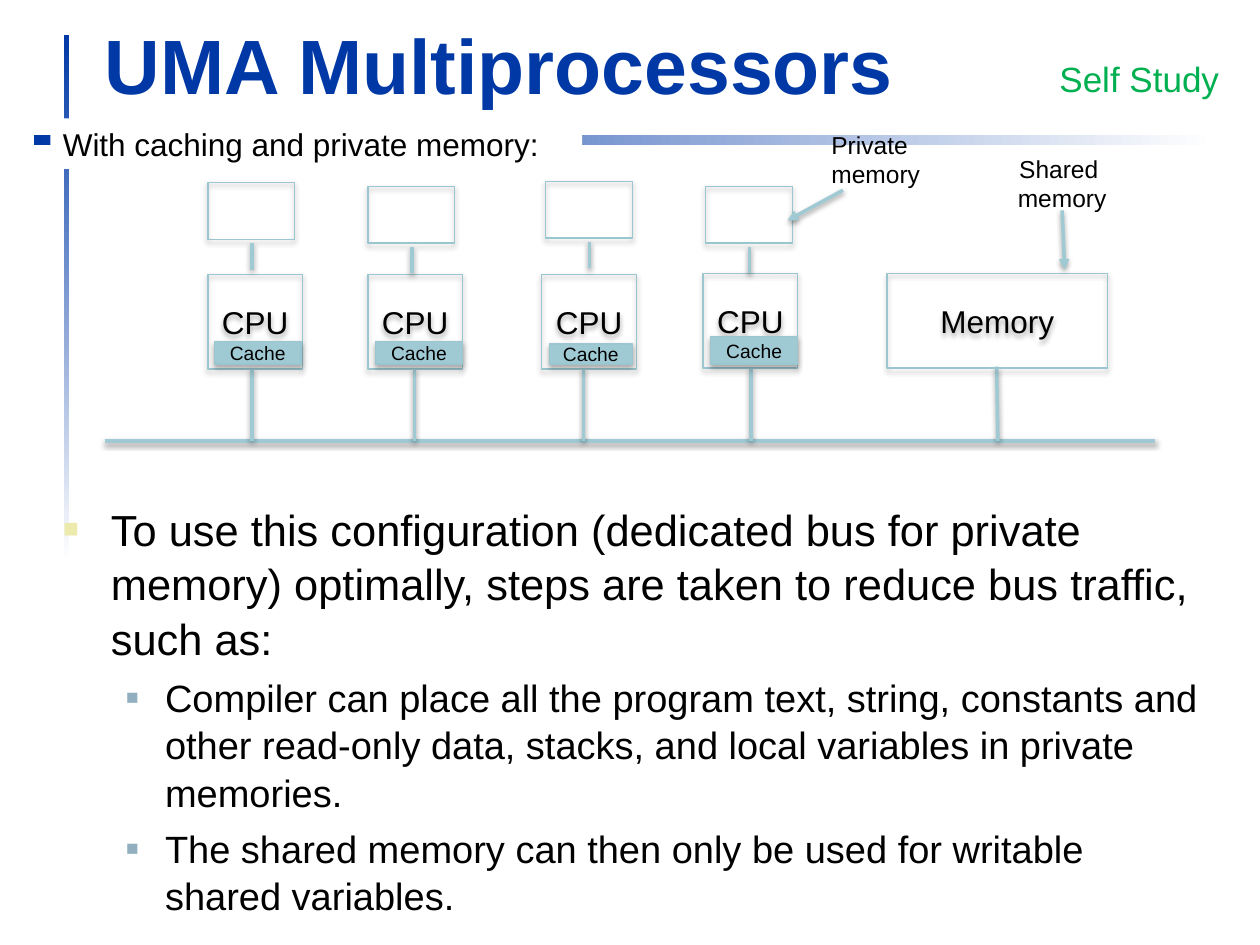
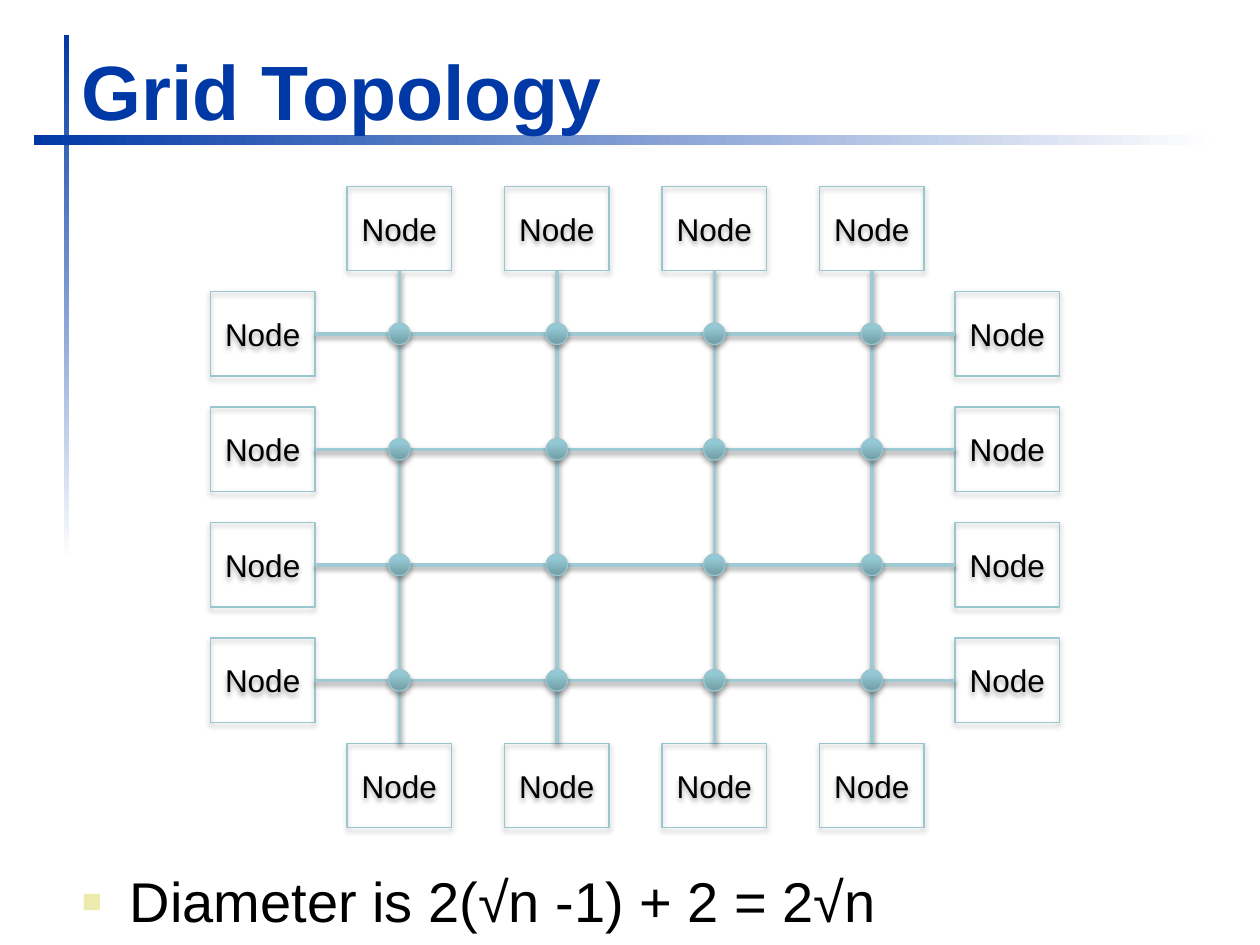
from dataclasses import dataclass

from lxml import etree
from pptx import Presentation
from pptx import util as u
from pptx.dml import color as dml
from pptx.enum import shapes, text
from pptx.oxml import parse_xml
from pptx.oxml.ns import nsdecls, qn

COLORS = {
    "title": "0039A6",
    "text": "000000",
    "paper": "FFFFFF",
    "note": "00B050",
    "wire": "9FCAD3",
    "edge": "9AC6D0",
    "bullet": "ECEAAC",
    "sub_bullet": "91AFBF",
}
FONT = "Arial"
BAND_STOPS = [(0, COLORS["title"]), (100, COLORS["paper"])]
DOT_STOPS = [(0, "719BA3"), (80, "93C9D4"), (100, "92CAD6")]


@dataclass(frozen=True)
class Area:
    left: float
    top: float
    width: float
    height: float

    def lengths(self) -> list:
        return [u.Inches(v) for v in (self.left, self.top, self.width, self.height)]


@dataclass(frozen=True)
class BulletLevel:
    margin: float
    hang: float
    color: str
    percent: int


@dataclass(frozen=True)
class Processor:
    cpu: Area
    private: Area
    cache: Area
    bus_x: float


@dataclass(frozen=True)
class Item:
    words: str
    size: float
    level: int = 0


BULLETS = [
    BulletLevel(0.38, 0.38, COLORS["bullet"], 60),
    BulletLevel(0.81, 0.31, COLORS["sub_bullet"], 55),
]
PROCESSORS = [
    Processor(Area(1.65, 2.18, 0.75, 0.75), Area(1.65, 1.45, 0.69, 0.45),
              Area(1.7, 2.71, 0.69, 0.18), 2),
    Processor(Area(2.92, 2.18, 0.75, 0.75), Area(2.92, 1.48, 0.69, 0.45),
              Area(2.98, 2.71, 0.69, 0.18), 3.29),
    Processor(Area(4.3, 2.18, 0.75, 0.75), Area(4.33, 1.44, 0.69, 0.45),
              Area(4.36, 2.73, 0.66, 0.16), 4.63),
    Processor(Area(5.58, 2.17, 0.75, 0.75), Area(5.6, 1.48, 0.69, 0.45),
              Area(5.64, 2.67, 0.69, 0.22), 5.96),
]


def write_text(frame, *lines: str, size: float, color: str = COLORS["text"],
               bold: bool = False, align=text.PP_ALIGN.LEFT, anchor=text.MSO_ANCHOR.TOP) -> None:
    frame.word_wrap = True
    frame.auto_size = text.MSO_AUTO_SIZE.NONE
    frame.vertical_anchor = anchor
    for index, line in enumerate(lines):
        para = frame.paragraphs[0] if index == 0 else frame.add_paragraph()
        para.alignment = align
        span = para.add_run()
        span.text = line
        span.font.name = FONT
        span.font.size = u.Pt(size)
        span.font.bold = bold
        span.font.color.rgb = dml.RGBColor.from_string(color)


def fill_gradient(shape, stops: list[tuple[int, str]], angle: int) -> None:
    shape.fill.background()
    marks = "".join(
        f'<a:gs pos="{pos * 1000}"><a:srgbClr val="{color}"/></a:gs>' for pos, color in stops)
    gradient = parse_xml(f'<a:gradFill {nsdecls("a")}><a:gsLst>{marks}</a:gsLst>'
                         f'<a:lin ang="{angle * 60000}" scaled="0"/></a:gradFill>')
    properties = shape.element.spPr
    properties.replace(properties.find(qn("a:noFill")), gradient)


def add_shadow(shape, opacity: int, distance: float) -> None:
    shape.element.spPr.append(parse_xml(
        f'<a:effectLst {nsdecls("a")}><a:outerShdw blurRad="{u.Pt(3.1)}" dist="{u.Pt(distance)}"'
        f' dir="5400000" rotWithShape="0"><a:srgbClr val="000000">'
        f'<a:alpha val="{opacity * 1000}"/></a:srgbClr></a:outerShdw></a:effectLst>'))


def set_fill(shape, color: str | None) -> None:
    if color is None:
        shape.fill.background()
    else:
        shape.fill.solid()
        shape.fill.fore_color.rgb = dml.RGBColor.from_string(color)


def add_box(page, area: Area, label: str = "", size: float = 18, fill: str | None = None,
            kind=shapes.MSO_SHAPE.RECTANGLE):
    box = page.shapes.add_shape(kind, *area.lengths())
    set_fill(box, fill)
    box.line.color.rgb = dml.RGBColor.from_string(COLORS["edge"])
    box.line.width = u.Pt(0.75)
    add_shadow(box, 35, 1.8)
    if label:
        write_text(box.text_frame, label, size=size, align=text.PP_ALIGN.CENTER,
                   anchor=text.MSO_ANCHOR.MIDDLE)
    return box


def add_wire(page, x1: float, y1: float, x2: float, y2: float, arrow: bool = False) -> None:
    wire = page.shapes.add_connector(
        shapes.MSO_CONNECTOR.STRAIGHT, *[u.Inches(v) for v in (x1, y1, x2, y2)])
    wire.line.color.rgb = dml.RGBColor.from_string(COLORS["wire"])
    wire.line.width = u.Pt(2)
    if arrow:
        etree.SubElement(wire.line._get_or_add_ln(), qn("a:tailEnd"), type="triangle")
    add_shadow(wire, 38, 1.6)


def add_note(page, area: Area, *lines: str, **style) -> None:
    note = page.shapes.add_textbox(*area.lengths())
    write_text(note.text_frame, *lines, **style)


def add_bullet(para, level: BulletLevel) -> None:
    properties = para._p.get_or_add_pPr()
    properties.set("marL", str(u.Inches(level.margin)))
    properties.set("indent", str(-u.Inches(level.hang)))
    color = etree.SubElement(properties, qn("a:buClr"))
    etree.SubElement(color, qn("a:srgbClr"), val=level.color)
    etree.SubElement(properties, qn("a:buSzPct"), val=str(level.percent * 1000))
    etree.SubElement(properties, qn("a:buFont"), typeface=FONT)
    etree.SubElement(properties, qn("a:buChar"), char="■")


def place(shape, area: Area) -> None:
    shape.left, shape.top, shape.width, shape.height = area.lengths()


def add_page(deck, title: str, title_area: Area, items: list[Item], body_area: Area,
             spacing: float = 1.0):
    page = deck.slides.add_slide(deck.slide_layouts[1])
    heading, body = page.shapes.title, page.placeholders[1]
    place(heading, title_area)
    write_text(heading.text_frame, title, size=44, color=COLORS["title"], bold=True,
               anchor=text.MSO_ANCHOR.BOTTOM)
    place(body, body_area)
    write_text(body.text_frame, *[item.words for item in items], size=items[0].size)
    for para, item in zip(body.text_frame.paragraphs, items):
        para.level = item.level
        para.line_spacing = spacing
        para.runs[0].font.size = u.Pt(item.size)
        add_bullet(para, BULLETS[item.level])
    return page


def add_master_bands(deck, page) -> None:
    bands = [(Area(0.51, 0.28, 0.04, 4.17), 90), (Area(0.27, 1.07, 9.37, 0.08), 0)]
    for position, (area, angle) in enumerate(bands, start=2):
        band = page.shapes.add_shape(shapes.MSO_SHAPE.RECTANGLE, *area.lengths())
        fill_gradient(band, BAND_STOPS, angle)
        band.line.fill.background()
        band.shadow.inherit = False
        deck.slide_master.element.cSld.spTree.insert(position, band.element)


def draw_processor(page, processor: Processor, bus_y: float) -> None:
    cpu, private = processor.cpu, processor.private
    link_x = private.left + 0.35
    add_wire(page, processor.bus_x, bus_y, processor.bus_x, 2.92)
    add_box(page, cpu, "CPU")
    add_box(page, processor.cache, "Cache", size=11, fill=COLORS["wire"])
    add_box(page, private)
    add_wire(page, link_x, private.top + 0.48, link_x, private.top + 0.69)


def draw_multiprocessors(page) -> None:
    bus_y = 3.5
    add_wire(page, 0.83, bus_y, 9.17, bus_y)
    for processor in PROCESSORS:
        draw_processor(page, processor, bus_y)
    add_wire(page, 7.91, 2.91, 7.92, bus_y)
    add_box(page, Area(7.04, 2.17, 1.75, 0.75), "Memory")

    caption = page.shapes.add_shape(
        shapes.MSO_SHAPE.RECTANGLE, *Area(0.4, 0.94, 4.22, 0.4).lengths())
    set_fill(caption, COLORS["paper"])
    caption.line.fill.background()
    caption.shadow.inherit = False
    write_text(caption.text_frame, "With caching and private memory:", size=18)

    add_note(page, Area(7.94, 1.17, 0.98, 0.57), "Shared ", "memory", size=14,
             align=text.PP_ALIGN.CENTER)
    add_wire(page, 8.43, 1.67, 8.45, 2.14, arrow=True)
    add_note(page, Area(6.5, 0.98, 1.19, 0.57), "Private memory", size=14)
    add_wire(page, 6.69, 1.51, 6.25, 1.75, arrow=True)
    add_note(page, Area(8.31, 0.41, 1.57, 0.44), "Self Study", size=20, color=COLORS["note"])


def draw_grid(page) -> None:
    width, height, dot = 0.83, 0.67, 0.17
    left, right, top, bottom = 2.5, 7.58, 2.15, 5.9
    columns = [3.17 + 1.25 * i for i in range(4)]
    rows = [2.65 + 2.75 / 3 * i for i in range(4)]
    for x in columns:
        for y in (top - height, bottom):
            add_box(page, Area(x - width / 2, y, width, height), "Node")
    for y in rows:
        for x in (left - width, right):
            add_box(page, Area(x, y - height / 2, width, height), "Node")
        add_wire(page, left, y, right, y)
    for x in columns:
        add_wire(page, x, top, x, bottom)
    for x in columns:
        for y in rows:
            joint = add_box(page, Area(x - dot / 2, y - dot / 2, dot, dot),
                            kind=shapes.MSO_SHAPE.OVAL)
            fill_gradient(joint, DOT_STOPS, 270)


def main() -> None:
    deck = Presentation()
    deck.slide_width, deck.slide_height = u.Inches(10), u.Inches(7.5)

    page = add_page(deck, "UMA Multiprocessors", Area(0.73, -0.01, 8.91, 0.93), [
        Item("To use this configuration (dedicated bus for private memory) optimally, "
             "steps are taken to reduce bus traffic, such as:", 24.8),
        Item("Compiler can place all the program text, string, constants and other "
             "read-only data, stacks, and local variables in private memories.", 21.7, 1),
        Item("The shared memory can then only be used for writable shared variables.", 21.7, 1),
    ], Area(0.4, 3.92, 9.24, 2.81), spacing=1.05)
    add_master_bands(deck, page)
    draw_multiprocessors(page)

    page = add_page(deck, "Grid Topology", Area(0.55, 0.32, 8.91, 0.81),
                    [Item("Diameter is 2(√n -1) + 2 = 2√n", 32)], Area(0.55, 6.83, 8.91, 0.67))
    set_fill(page.placeholders[1], COLORS["paper"])
    draw_grid(page)

    deck.save("out.pptx")


if __name__ == "__main__":
    main()
